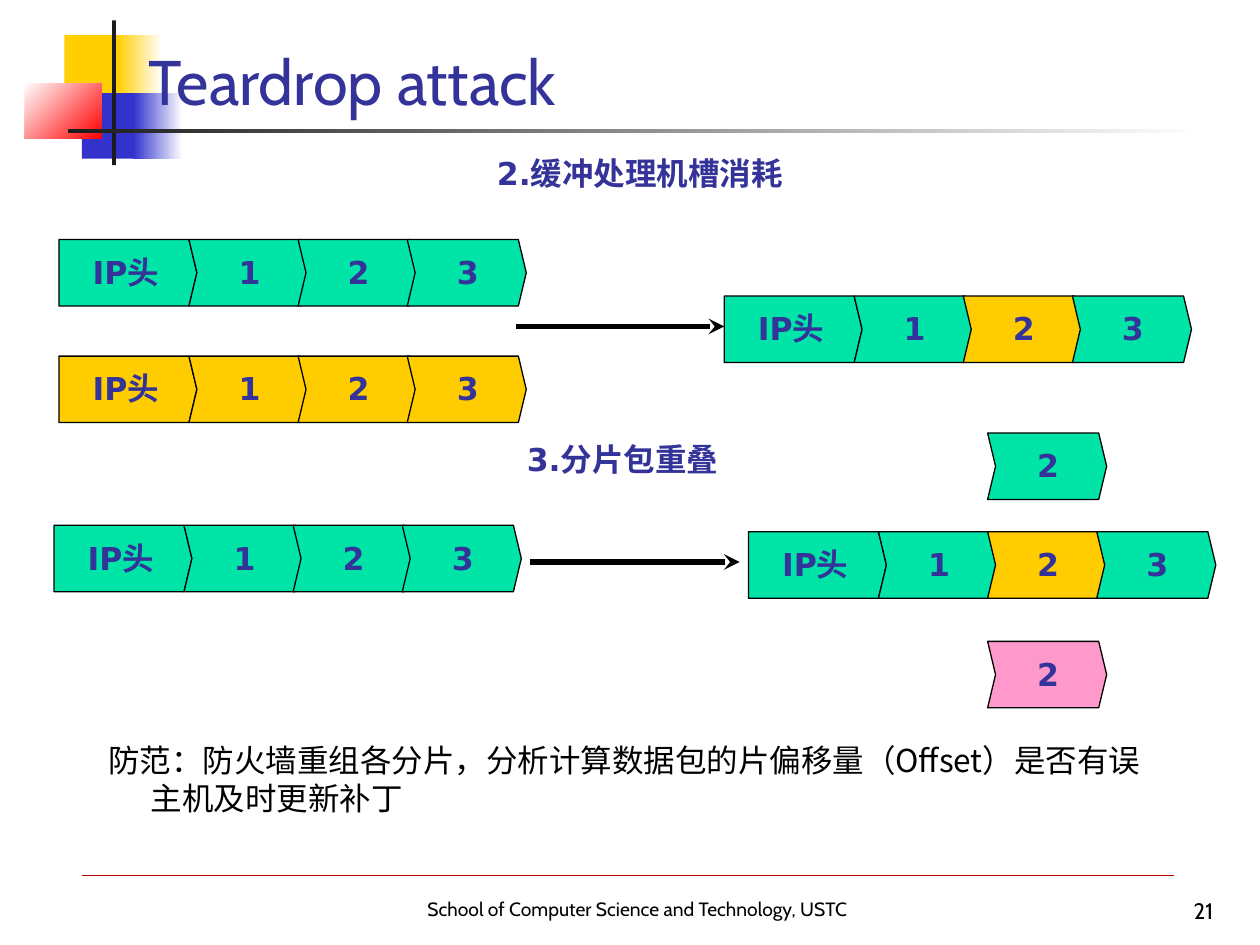
import lxml.etree
import pptx
import pptx.dml.color
import pptx.enum.shapes
import pptx.enum.text
import pptx.oxml.ns
import pptx.util

Cm = pptx.util.Cm
Pt = pptx.util.Pt
qn = pptx.oxml.ns.qn
ALIGN = pptx.enum.text.PP_ALIGN
ANCHOR = pptx.enum.text.MSO_ANCHOR

COLORS = {
    "black": "000000",
    "white": "FFFFFF",
    "ink": "1C1C1C",
    "navy": "333399",
    "blue": "3333CC",
    "gold": "FFCF01",
    "red": "FF0000",
    "rule": "C00000",
    "green": "00E4A8",
    "yellow": "FFCC00",
    "pink": "FF99CC",
}
LABEL_FONT = "DejaVu Sans"
TITLE_FONT = "Cabin"
CJK_FONT = "Noto Sans CJK SC"

HEADER_WIDTH = 2.62
PIECE_STEP = 2.2
PIECE_SHOULDER = 2.24
PIECE_HEIGHT = 1.34
NOTCH = 0.16


def rgb(name):
    return pptx.dml.color.RGBColor.from_string(COLORS[name])


def add_block(page, left, top, width, height, start, end=None, angle=0):
    block = page.shapes.add_shape(
        pptx.enum.shapes.MSO_SHAPE.RECTANGLE, Cm(left), Cm(top), Cm(width), Cm(height))
    block.shadow.inherit = False
    block.line.fill.background()
    if end is None:
        block.fill.solid()
        block.fill.fore_color.rgb = rgb(start)
        return
    block.fill.gradient()
    block.fill.gradient_angle = angle
    for stop, color in zip(block.fill.gradient_stops, (start, end)):
        stop.color.rgb = rgb(color)


def add_text(owner, left, top, width, height, lines, size, font, color,
             bold=False, align=ALIGN.LEFT, anchor=ANCHOR.TOP, margins=(0.25, 0.13), indents=(0,)):
    box = owner.shapes.add_textbox(Cm(left), Cm(top), Cm(width), Cm(height))
    frame = box.text_frame
    frame.word_wrap = True
    frame.vertical_anchor = anchor
    frame.margin_left = frame.margin_right = Cm(margins[0])
    frame.margin_top = frame.margin_bottom = Cm(margins[1])
    for index, (line, indent) in enumerate(zip(lines, indents)):
        para = frame.add_paragraph() if index else frame.paragraphs[0]
        para.alignment = align
        if indent:
            para._p.get_or_add_pPr().set("marL", str(Cm(indent)))
        span = para.add_run()
        span.text = line
        span.font.size = Pt(size)
        span.font.name = font
        span.font.bold = bold
        span.font.color.rgb = rgb(color)
        east_asian = lxml.etree.SubElement(span.font._element, qn("a:ea"))
        east_asian.set("typeface", CJK_FONT)


def add_line(page, start, end, color, weight, arrow=False):
    line = page.shapes.add_connector(
        pptx.enum.shapes.MSO_CONNECTOR.STRAIGHT, *(Cm(value) for value in start + end))
    line.line.color.rgb = rgb(color)
    line.line.width = Pt(weight)
    if arrow:
        lxml.etree.SubElement(line.line._get_or_add_ln(), qn("a:tailEnd")).set("type", "stealth")
    lxml.etree.SubElement(line._element.spPr, qn("a:effectLst"))


def add_piece(page, left, top, label, color, header=False):
    group = page.shapes.add_group_shape()
    shoulder = left + (HEADER_WIDTH if header else PIECE_SHOULDER)
    middle, bottom = top + PIECE_HEIGHT / 2, top + PIECE_HEIGHT
    back = left if header else left + NOTCH
    outline = [(shoulder, top), (shoulder + NOTCH, middle), (shoulder, bottom),
               (left, bottom), (back, middle)]
    builder = group.shapes.build_freeform(Cm(left), Cm(top))
    builder.add_line_segments([(Cm(x), Cm(y)) for x, y in outline], close=True)
    piece = builder.convert_to_shape()
    piece.shadow.inherit = False
    piece.fill.solid()
    piece.fill.fore_color.rgb = rgb(color)
    piece.line.color.rgb = rgb("black")
    piece.line.width = Pt(0.75)
    offset, width = (0.06, 2.57) if header else (0.19, 2.06)
    add_text(group, left + offset, top + 0.07, width, 1.16, [label], 18, LABEL_FONT, "navy",
             bold=True, align=ALIGN.CENTER, anchor=ANCHOR.MIDDLE, margins=(0.13, 0))


def add_packet(page, left, top, colors):
    add_piece(page, left, top, "IP头", colors[0], header=True)
    for index, color in enumerate(colors[1:]):
        add_piece(page, left + HEADER_WIDTH + index * PIECE_STEP, top, str(index + 1), color)


def add_decoration(page):
    add_block(page, 1.3, 0.71, 1.17, 1.27, "gold")
    add_block(page, 2.36, 0.71, 0.91, 1.27, "gold", "white")
    add_block(page, 1.65, 1.88, 1.17, 1.32, "blue")
    add_block(page, 2.69, 1.88, 0.99, 1.32, "blue", "white")
    add_block(page, 0.5, 1.68, 1.55, 1.12, "white", "red", angle=315)
    add_block(page, 2.26, 0.41, 0.08, 2.92, "ink")
    add_block(page, 1.37, 2.6, 22.91, 0.08, "ink", "white")


def main():
    deck = pptx.Presentation()
    deck.slide_width, deck.slide_height = Cm(25.4), Cm(19.05)
    page = deck.slides.add_slide(deck.slide_layouts[6])

    add_decoration(page)
    add_text(page, 8.18, 17.96, 9.35, 1.19, ["School of Computer Science and Technology, USTC"],
             11, TITLE_FONT, "black", align=ALIGN.CENTER)
    add_line(page, (1.65, 17.65), (23.67, 17.65), "rule", 0.25)
    add_text(page, 2.74, 0.58, 21.44, 1.93, ["Teardrop attack"], 36, TITLE_FONT, "navy",
             anchor=ANCHOR.BOTTOM)
    add_text(page, 21.89, 17.86, 2.82, 0.89, ["21"], 12.8, TITLE_FONT, "black",
             align=ALIGN.RIGHT, anchor=ANCHOR.BOTTOM)

    for left, top, heading in ((9.6, 2.97, "2.缓冲处理机槽消耗"), (9.25, 8.74, "3.分片包重叠")):
        add_text(page, left, top, 6.6, 1.02, [heading], 18, LABEL_FONT, "navy",
                 bold=True, align=ALIGN.CENTER)

    intact = ["green"] * 4
    replaced = ["green", "green", "yellow", "green"]
    add_packet(page, 1.19, 4.83, intact)
    add_packet(page, 1.19, 7.18, ["yellow"] * 4)
    add_line(page, (10.41, 6.58), (14.6, 6.58), "black", 3, arrow=True)
    add_packet(page, 14.6, 5.97, replaced)

    add_packet(page, 1.09, 10.59, intact)
    add_line(page, (10.69, 11.33), (14.91, 11.33), "black", 3, arrow=True)
    add_packet(page, 15.09, 10.72, replaced)
    add_piece(page, 19.91, 8.73, "2", "green")
    add_piece(page, 19.91, 12.93, "2", "pink")

    add_text(page, 1.93, 14.81, 22.15, 2.54,
             ["防范：防火墙重组各分片，分析计算数据包的片偏移量（Offset）是否有误", "主机及时更新补丁"],
             18, CJK_FONT, "black", indents=(0, 0.86))
    deck.save("out.pptx")


if __name__ == "__main__":
    main()
